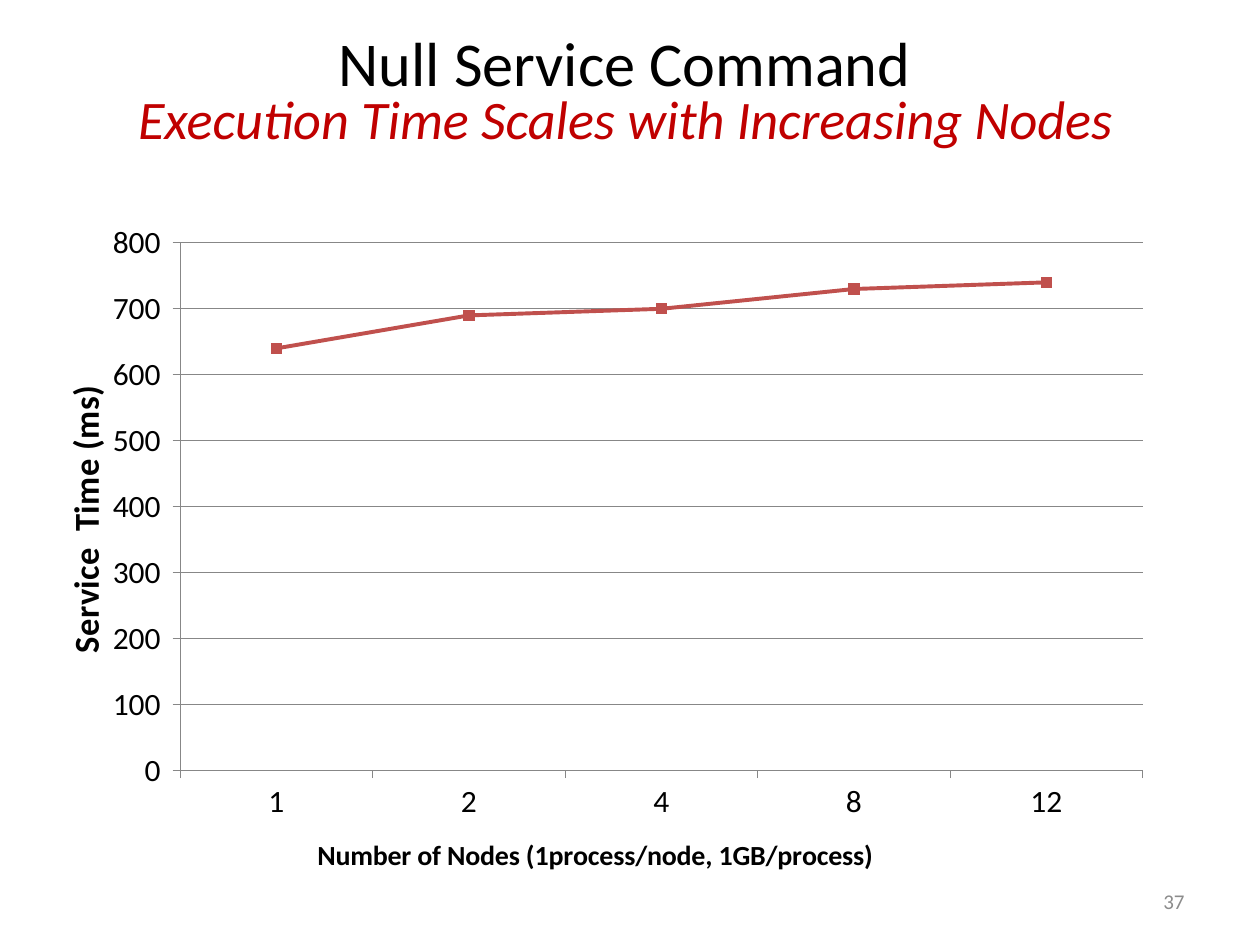
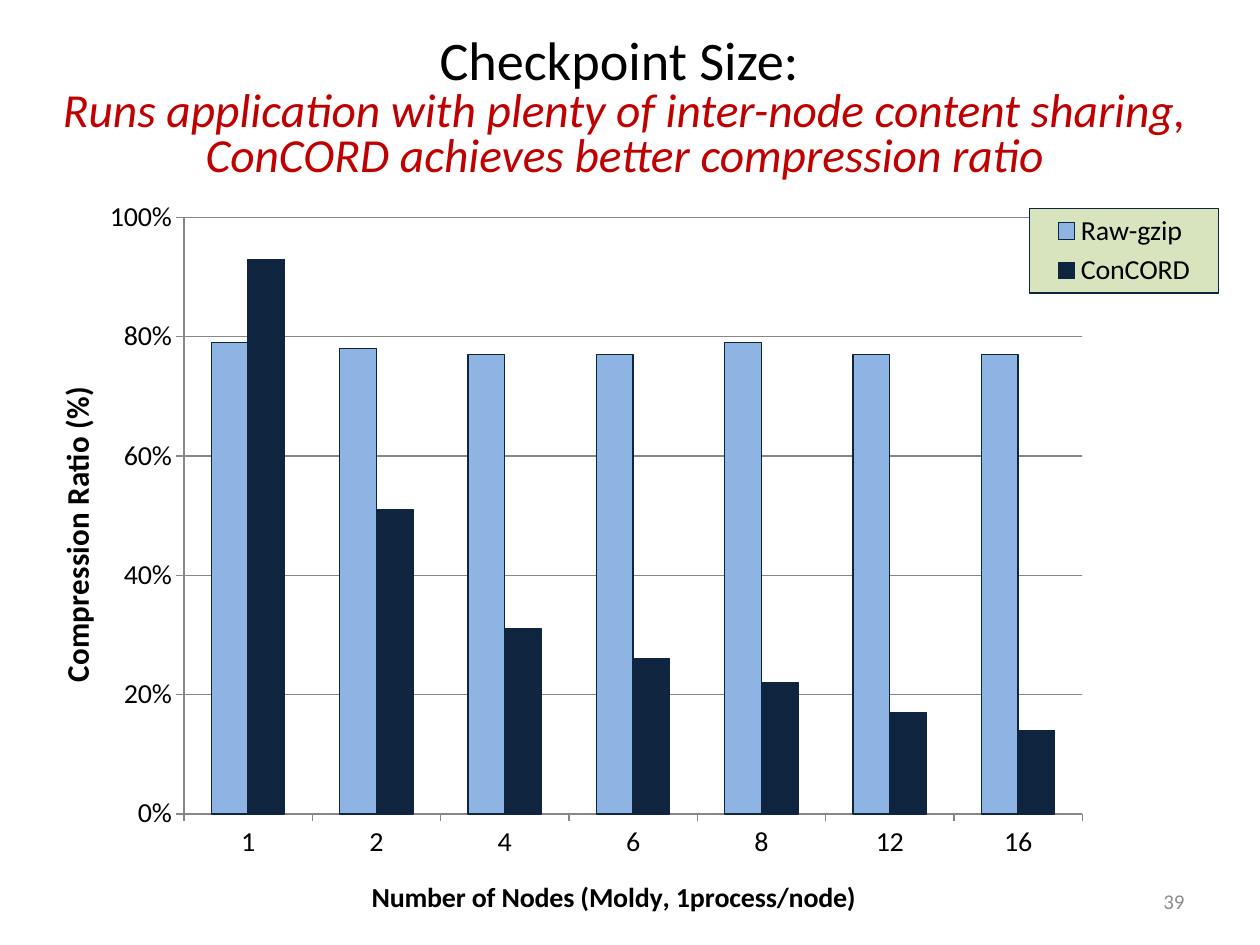
from dataclasses import dataclass

import lxml.etree
import pptx
import pptx.chart.data
import pptx.dml.color
import pptx.enum.chart
import pptx.enum.text
import pptx.oxml
import pptx.oxml.ns
import pptx.util

Inches = pptx.util.Inches
Pt = pptx.util.Pt
ChartType = pptx.enum.chart.XL_CHART_TYPE
Align = pptx.enum.text.PP_ALIGN


@dataclass(frozen=True)
class Theme:
    font: str = "Calibri"
    ink: str = "000000"
    accent: str = "C00000"
    muted: str = "8C8C8C"
    grid: str = "878787"
    red: str = "C0504D"
    sky: str = "8EB4E3"
    navy: str = "0F243E"
    legend_fill: str = "D7E4BD"
    number_size: float = 12
    chart_size: float = 10
    hairline: float = 0.75
    trend_line: float = 2.25


THEME = Theme()
NUMBER_BOX = (7.17, 6.95, 2.33, 0.4)

SLIDES = [
    {
        "title": ("Null Service Command", 35.6),
        "subtitle": ("Execution Time Scales with Increasing Nodes", 31),
        "title_box": (0.25, 0.25, 9.42, 1),
        "number": "37",
        "type": ChartType.LINE_MARKERS,
        "chart_box": (0.28, 1.75, 9.42, 5.25),
        "plot_box": (1.15, 0.18, 7.64, 4.25),
        "label_size": 18,
        "category_title": ("Number of Nodes (1process/node, 1GB/process)", 16, (2.2, 4.92)),
        "value_title": ("Service  Time (ms)", 20, (0.15, 1.31)),
        "scale": {"minimum_scale": 0, "maximum_scale": 800, "major_unit": 100},
        "number_format": "0_ ",
        "categories": ["1", "2", "4", "8", "12"],
        "series": [("Series 1", [640, 690, 700, 730, 740], THEME.red)],
    },
    {
        "title": ("Checkpoint Size: ", 31),
        "subtitle": (
            "Runs application with plenty of inter-node content sharing, "
            "ConCORD achieves better compression ratio",
            27.1,
        ),
        "title_box": (0.25, 0.25, 9.42, 1.25),
        "number": "39",
        "type": ChartType.COLUMN_CLUSTERED,
        "chart_box": (0.25, 1.5, 9.58, 5.83),
        "plot_box": (1.21, 0.23, 7.13, 4.81),
        "legend_box": (7.92, 0.16, 1.5, 0.68),
        "label_size": 16,
        "category_title": ("Number of Nodes (Moldy, 1process/node)", 16, (2.66, 5.52)),
        "value_title": ("Compression Ratio (%)", 18, (0.14, 1.59)),
        "scale": {"minimum_scale": 0, "maximum_scale": 1, "major_unit": 0.2},
        "number_format": "0%",
        "categories": ["1", "2", "4", "6", "8", "12", "16"],
        "series": [
            ("Raw-gzip", [0.79, 0.78, 0.77, 0.77, 0.79, 0.77, 0.77], THEME.sky),
            ("ConCORD", [0.93, 0.51, 0.31, 0.26, 0.22, 0.17, 0.14], THEME.navy),
        ],
    },
]


def assign(target, values):
    for name, value in values.items():
        setattr(target, name, value)


def color(code):
    return pptx.dml.color.RGBColor.from_string(code)


def style_font(font, size, code=THEME.ink, **extra):
    assign(font, {"name": THEME.font, "size": Pt(size), **extra})
    font.color.rgb = color(code)


def style_line(line, code, width=THEME.hairline):
    line.color.rgb = color(code)
    line.width = Pt(width)


def add_text(page, bounds, lines, align, spacing):
    box = page.shapes.add_textbox(*map(Inches, bounds))
    frame = box.text_frame
    assign(frame, {"word_wrap": True, "vertical_anchor": pptx.enum.text.MSO_ANCHOR.MIDDLE})
    for index, (text, size, code, italic) in enumerate(lines):
        para = frame.add_paragraph() if index else frame.paragraphs[0]
        assign(para, {"alignment": align, "line_spacing": spacing})
        span = para.add_run()
        span.text = text
        style_font(span.font, size, code, italic=italic)


def place(element, position, bounds, chart_box, inner=False):
    for old in element.findall(pptx.oxml.ns.qn("c:layout")):
        element.remove(old)
    layout = pptx.oxml.parse_xml(f"<c:layout {pptx.oxml.ns.nsdecls('c')}/>")
    manual = lxml.etree.SubElement(layout, pptx.oxml.ns.qn("c:manualLayout"))
    settings = [("layoutTarget", "inner")] if inner else []
    settings += [("xMode", "edge"), ("yMode", "edge")]
    extents = chart_box[2:] * 2
    settings += [
        (name, f"{length / extent:.4f}")
        for name, length, extent in zip("xywh", bounds, extents)
    ]
    for name, value in settings:
        lxml.etree.SubElement(manual, pptx.oxml.ns.qn(f"c:{name}"), val=value)
    element.insert(position, layout)


def style_axis(axis, title, label_size, chart_box):
    text, size, corner = title
    axis.major_tick_mark = pptx.enum.chart.XL_TICK_MARK.OUTSIDE
    style_font(axis.tick_labels.font, label_size)
    style_line(axis.format.line, THEME.grid)
    axis.axis_title.text_frame.text = text
    span = axis.axis_title.text_frame.paragraphs[0].runs[0]
    style_font(span.font, size, bold=True)
    place(axis.axis_title._element, 1, corner, chart_box)


def style_series(series, code, is_line):
    if is_line:
        style_line(series.format.line, code, THEME.trend_line)
        series.smooth = False
        assign(series.marker, {"style": pptx.enum.chart.XL_MARKER_STYLE.SQUARE, "size": 6})
        target = series.marker.format
    else:
        target = series.format
    target.fill.solid()
    target.fill.fore_color.rgb = color(code)
    style_line(target.line, code if is_line else THEME.navy)


def add_legend(chart, bounds, chart_box, size):
    chart.has_legend = True
    legend = chart.legend
    assign(legend, {"position": pptx.enum.chart.XL_LEGEND_POSITION.RIGHT, "include_in_layout": False})
    style_font(legend.font, size)
    place(legend._element, 1, bounds, chart_box)
    panel = pptx.oxml.parse_xml(
        f"<c:spPr {pptx.oxml.ns.nsdecls('c', 'a')}>"
        f'<a:solidFill><a:srgbClr val="{THEME.legend_fill}"/></a:solidFill>'
        f'<a:ln w="{Pt(THEME.hairline)}"><a:solidFill>'
        f'<a:srgbClr val="{THEME.navy}"/></a:solidFill></a:ln></c:spPr>'
    )
    legend._element.find(pptx.oxml.ns.qn("c:txPr")).addprevious(panel)


def add_chart(page, content):
    data = pptx.chart.data.CategoryChartData()
    data.categories = content["categories"]
    for name, values, _ in content["series"]:
        data.add_series(name, values)
    bounds = content["chart_box"]
    chart = page.shapes.add_chart(content["type"], *map(Inches, bounds), data).chart
    assign(chart, {"has_title": False, "has_legend": False})
    style_font(chart.font, THEME.chart_size)
    style_axis(chart.category_axis, content["category_title"], content["label_size"], bounds)
    style_axis(chart.value_axis, content["value_title"], content["label_size"], bounds)
    assign(chart.value_axis, {"has_major_gridlines": True, **content["scale"]})
    style_line(chart.value_axis.major_gridlines.format.line, THEME.grid)
    assign(
        chart.value_axis.tick_labels,
        {"number_format": content["number_format"], "number_format_is_linked": False},
    )
    plot = chart.plots[0]
    plot.vary_by_categories = False
    is_line = content["type"] == ChartType.LINE_MARKERS
    if not is_line:
        assign(plot, {"gap_width": 150, "overlap": 0})
    for series, (_, _, code) in zip(plot.series, content["series"]):
        style_series(series, code, is_line)
    area = chart._chartSpace.xpath("c:chart/c:plotArea")[0]
    place(area, 0, content["plot_box"], bounds, inner=True)
    if "legend_box" in content:
        add_legend(chart, content["legend_box"], bounds, content["label_size"])


def add_page(deck, content):
    page = deck.slides.add_slide(deck.slide_layouts[6])
    add_chart(page, content)
    heading = [
        (*content["title"], THEME.ink, False),
        (*content["subtitle"], THEME.accent, True),
    ]
    add_text(page, content["title_box"], heading, Align.CENTER, 0.8)
    number = [(content["number"], THEME.number_size, THEME.muted, False)]
    add_text(page, NUMBER_BOX, number, Align.RIGHT, 1.0)


def main():
    deck = pptx.Presentation()
    assign(deck, {"slide_width": Inches(10), "slide_height": Inches(7.5)})
    for content in SLIDES:
        add_page(deck, content)
    deck.save("out.pptx")


if __name__ == "__main__":
    main()
